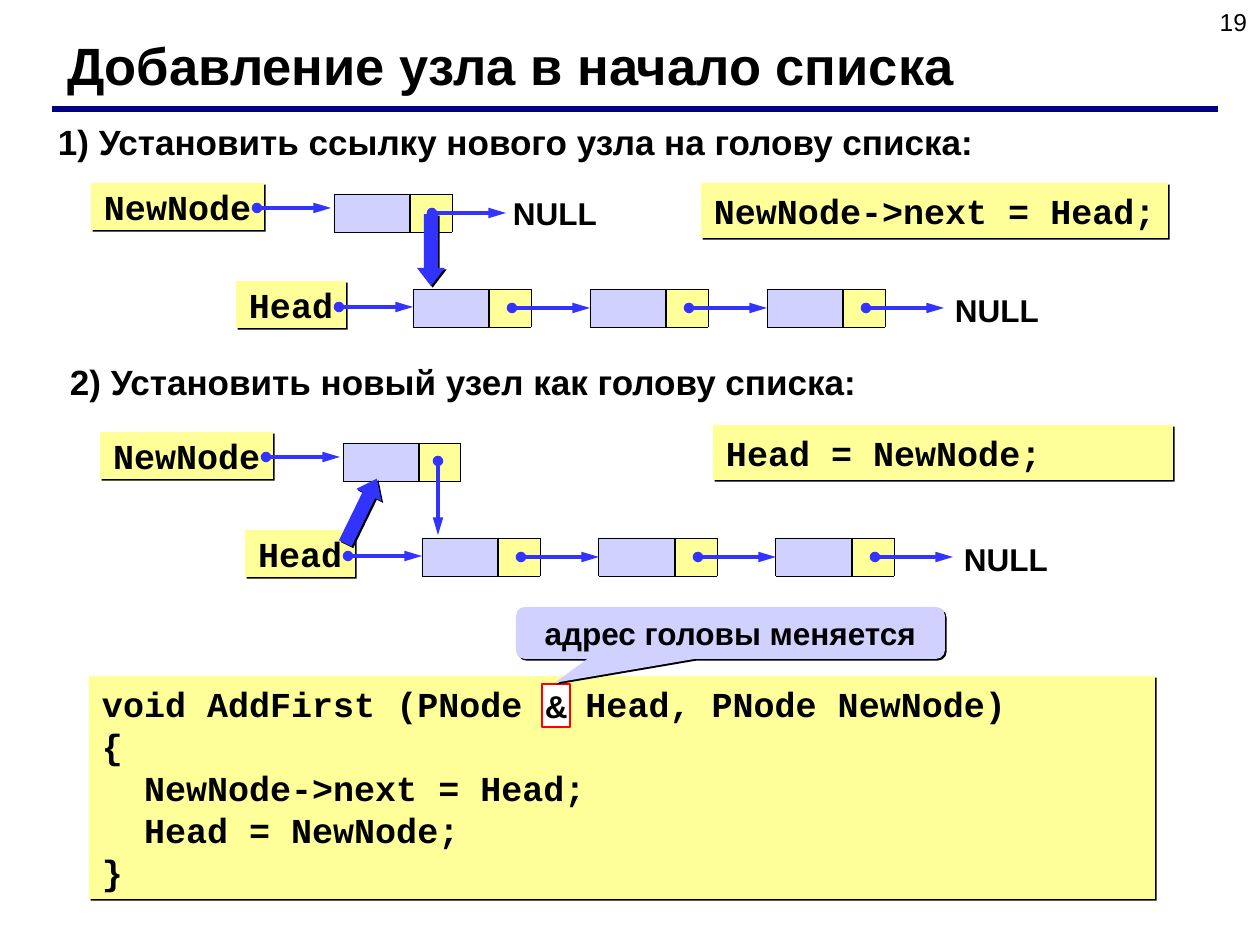
from lxml import etree
from pptx import Presentation
from pptx.dml.color import RGBColor
from pptx.enum.shapes import MSO_CONNECTOR, MSO_SHAPE
from pptx.enum.text import MSO_ANCHOR, PP_ALIGN
from pptx.oxml.ns import qn
from pptx.util import Emu, Pt

RECTANGLE = MSO_SHAPE.RECTANGLE
CALLOUT = MSO_SHAPE.ROUNDED_RECTANGULAR_CALLOUT
DOWN_ARROW = MSO_SHAPE.DOWN_ARROW
STRAIGHT = MSO_CONNECTOR.STRAIGHT
TOP, MIDDLE = MSO_ANCHOR.TOP, MSO_ANCHOR.MIDDLE
LEFT, CENTER, RIGHT = PP_ALIGN.LEFT, PP_ALIGN.CENTER, PP_ALIGN.RIGHT

EMU_PER_PX = 914400 // 126
BLACK, NAVY, BLUE, RED = "000000", "000080", "3333FF", "FF0000"
YELLOW, LILAC, WHITE = "FFFF99", "D1D1FF", "FFFFFF"
SANS, MONO = "Arial", "Courier New"
DATA_WIDTH, NODE_WIDTH, NODE_HEIGHT = 76, 118, 38
NODE_STEP = 177
CODE_INDENT = Pt(24)


def px(value):
    return Emu(value * EMU_PER_PX)


def color(value):
    return RGBColor.from_string(value)


def write(shape, lines, size=20, font=SANS, bold=True, align=LEFT, anchor=MIDDLE,
          wrap=True, margin_x=13, margin_y=6, spacing=None):
    """Fill the shape with lines; leading spaces of a line become a left indent."""
    frame = shape.text_frame
    settings = {"word_wrap": wrap, "vertical_anchor": anchor,
                "margin_left": px(margin_x), "margin_right": px(margin_x),
                "margin_top": px(margin_y), "margin_bottom": px(margin_y)}
    for name, value in settings.items():
        setattr(frame, name, value)
    for index, line in enumerate(lines):
        paragraph = frame.paragraphs[0] if index == 0 else frame.add_paragraph()
        paragraph.alignment = align
        if spacing:
            paragraph.line_spacing = spacing
        if line.startswith(" "):
            paragraph._p.get_or_add_pPr().set("marL", str(CODE_INDENT))
        run = paragraph.add_run()
        run.text = line.strip()
        for name, value in {"size": Pt(size), "name": font, "bold": bold}.items():
            setattr(run.font, name, value)
        run.font.color.rgb = color(BLACK)


def add_text(slide, box, text, **formats):
    write(slide.shapes.add_textbox(*map(px, box)), [text], **formats)


def add_box(slide, box, fill, kind=RECTANGLE, shadow=False, outline=None):
    shape = slide.shapes.add_shape(kind, *map(px, box))
    shape.shadow.inherit = False
    shape.fill.solid()
    shape.fill.fore_color.rgb = color(fill)
    if outline:
        shape.line.color.rgb = color(outline)
        shape.line.width = Pt(1)
    else:
        shape.line.fill.background()
    if shadow:
        effects = shape._element.spPr.find(qn("a:effectLst"))
        outer = etree.SubElement(effects, qn("a:outerShdw"), dist=str(Pt(1.4)),
                                 dir="2700000", algn="ctr", rotWithShape="0")
        etree.SubElement(outer, qn("a:srgbClr"), val=BLACK)
    return shape


def add_line(slide, start, end, stroke=BLACK, width=0.5):
    line = slide.shapes.add_connector(STRAIGHT, *map(px, (*start, *end)))
    line.line.color.rgb = color(stroke)
    line.line.width = Pt(width)
    etree.SubElement(line._element.spPr, qn("a:effectLst"))
    return line


def add_link(slide, x, y, dx=0, dy=0):
    """Draw a pointer: a dot at (x, y) and an arrowhead at its far end."""
    link = add_line(slide, (x, y), (x + dx, y + dy), BLUE, 2)
    outline = link.line._get_or_add_ln()
    etree.SubElement(outline, qn("a:headEnd"), type="oval")
    etree.SubElement(outline, qn("a:tailEnd"), type="triangle", w="med", len="lg")


def add_block_arrow(slide, x, y, rotation=0):
    arrow = add_box(slide, (x, y, 28, 72), BLUE, DOWN_ARROW, shadow=True)
    arrow.adjustments[1] = 0.65
    arrow.rotation = rotation


def add_node(slide, x, y):
    right, bottom, divider = x + NODE_WIDTH, y + NODE_HEIGHT, x + DATA_WIDTH
    add_box(slide, (divider, y, NODE_WIDTH - DATA_WIDTH, NODE_HEIGHT), YELLOW)
    add_box(slide, (x, y, DATA_WIDTH, NODE_HEIGHT), LILAC)
    for edge in (y, bottom):
        add_line(slide, (x, edge), (right, edge))
    for edge, width in ((x, 0.5), (divider, 1), (right, 0.5)):
        add_line(slide, (edge, y), (edge, bottom), width=width)


def add_null(slide, x, y):
    add_text(slide, (x, y, 120, 54), "NULL", size=18)


def add_list_diagram(slide, x, y):
    """Draw the new node above the three-node list, from the top left corner."""
    add_node(slide, x + 243, y + 11)
    for name, left, top, width in (("NewNode", 0, 0, 173), ("Head", 145, 98, 110)):
        label = add_box(slide, (x + left, y + top, width, 47), YELLOW, shadow=True)
        write(label, [name], font=MONO, wrap=False, margin_y=3, spacing=Pt(24))
    for index in range(3):
        left = x + 322 + index * NODE_STEP
        add_node(slide, left, y + 106)
        add_link(slide, left + 99, y + 125, dx=78)
    add_null(slide, x + 851, y + 100)
    add_link(slide, x + 166, y + 25, dx=74)
    add_link(slide, x + 248, y + 124, dx=74)


def add_code(slide, box, lines, **formats):
    shape = add_box(slide, box, YELLOW, shadow=True)
    write(shape, lines, font=MONO, spacing=Pt(24), **formats)


def add_heading(slide):
    title = slide.shapes.title
    for name, value in zip(("left", "top", "width", "height"), (54, 27, 1121, 76)):
        setattr(title, name, px(value))
    write(title, ["Добавление узла в начало списка"], size=30)
    add_line(slide, (52, 109), (1218, 109), NAVY, 3)
    add_text(slide, (966, 0, 294, 43), "19", size=14, bold=False, align=RIGHT)


def add_link_step(slide):
    add_text(slide, (45, 114, 1183, 55),
             "1) Установить ссылку нового узла на голову списка:")
    add_code(slide, (701, 183, 467, 55), ["NewNode->next = Head;"], wrap=False)
    add_list_diagram(slide, 91, 183)
    add_block_arrow(slide, 417, 214)
    add_link(slide, 432, 213, dx=74)
    add_null(slide, 500, 186)


def add_head_step(slide):
    add_text(slide, (57, 354, 1183, 55),
             "2) Установить новый узел как голову списка:")
    add_code(slide, (713, 425, 460, 55), ["Head = NewNode;"])
    add_list_diagram(slide, 100, 432)
    add_link(slide, 438, 461, dy=74)
    add_block_arrow(slide, 347, 475, rotation=206)


def add_function(slide):
    add_code(slide, (89, 676, 1066, 223),
             ["void AddFirst (PNode & Head, PNode NewNode)", "{",
              "  NewNode->next = Head;", "  Head = NewNode;", "}"], anchor=TOP)
    reference = add_box(slide, (542, 684, 28, 43), WHITE, outline=RED)
    write(reference, ["&"], size=18, wrap=False, margin_x=3, margin_y=3)
    callout = add_box(slide, (516, 607, 429, 52), LILAC, CALLOUT, shadow=True)
    for index, value in enumerate((-0.41, 0.96, 0.17)):
        callout.adjustments[index] = value
    write(callout, ["адрес головы меняется"], size=18, align=CENTER)


def main():
    presentation = Presentation()
    presentation.slide_width, presentation.slide_height = px(1260), px(945)
    slide = presentation.slides.add_slide(presentation.slide_layouts[5])
    add_heading(slide)
    add_link_step(slide)
    add_head_step(slide)
    add_function(slide)
    presentation.save("out.pptx")


if __name__ == "__main__":
    main()
